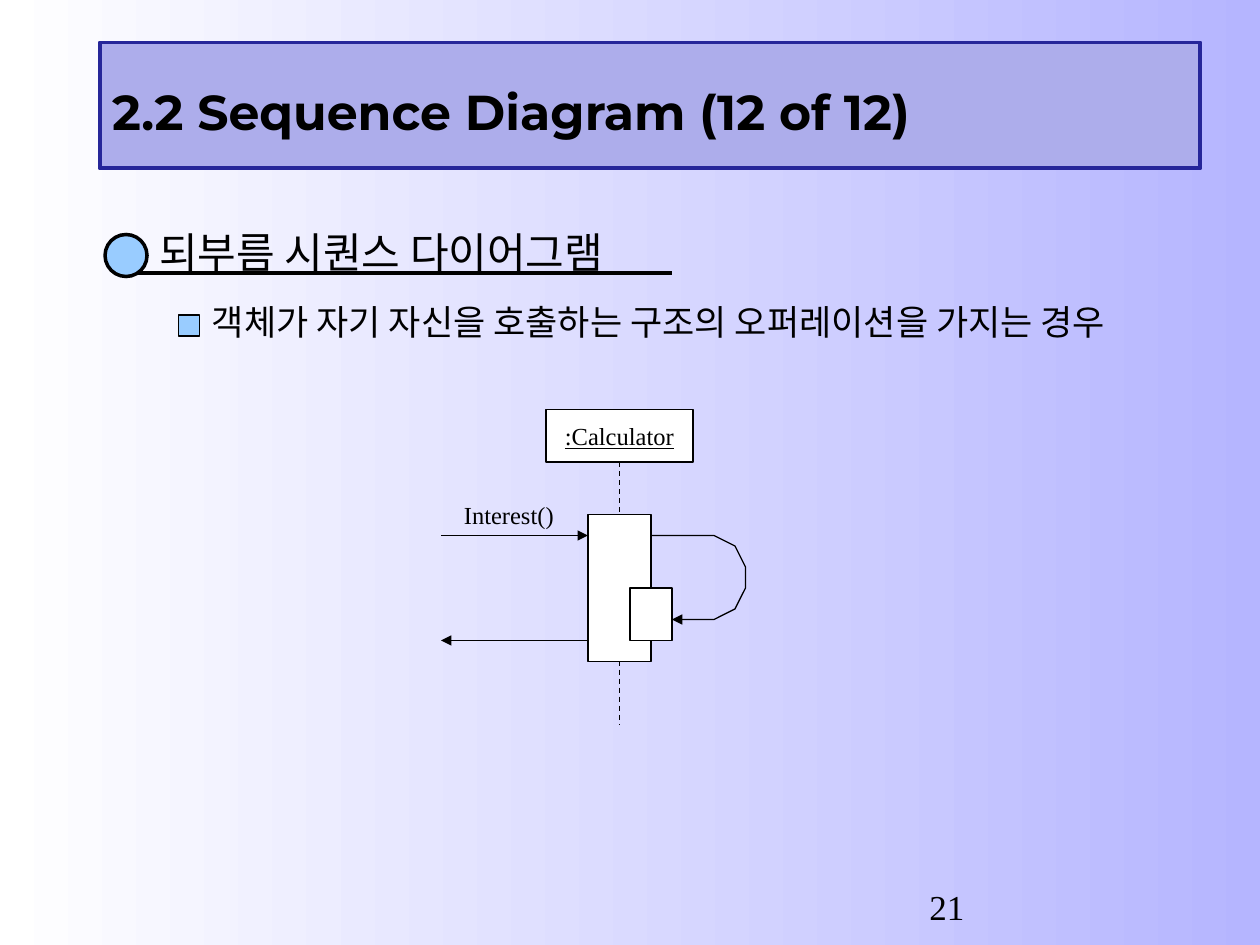
from lxml import etree
from pptx import Presentation
from pptx.dml.color import RGBColor
from pptx.enum.dml import MSO_LINE
from pptx.enum.shapes import MSO_CONNECTOR, MSO_SHAPE
from pptx.enum.text import MSO_ANCHOR, PP_ALIGN
from pptx.oxml.ns import qn
from pptx.util import Pt

RECT, OVAL = MSO_SHAPE.RECTANGLE, MSO_SHAPE.OVAL
LINE, DASH = MSO_CONNECTOR.STRAIGHT, MSO_LINE.DASH
LEFT, CENTER = PP_ALIGN.LEFT, PP_ALIGN.CENTER
MIDDLE = MSO_ANCHOR.MIDDLE
SERIF, SANS, HEAD = "Times New Roman", "Karla", "Montserrat"
COLORS = {
    "black": "000000", "white": "FFFFFF", "lilac": "B5B5FF",
    "sky": "99CCFF", "band": "ADADEB", "navy": "262699",
}
HEX = {name: RGBColor.from_string(code) for name, code in COLORS.items()}


def style(item, width, fill=None, color="black", arrow=False):
    item.line.color.rgb = HEX[color]
    item.line.width = Pt(width)
    if fill:
        item.fill.solid()
        item.fill.fore_color.rgb = HEX[fill]
    if arrow:
        etree.SubElement(item.line._get_or_add_ln(), qn("a:tailEnd"), type="triangle")


def write(item, text, size, face, align=LEFT, before=None):
    para = item.text_frame.paragraphs[0]
    para.text = text
    para.alignment = align
    if before:
        para.space_before = Pt(before)
    para.font.size = Pt(size)
    para.font.name = face
    para.font.color.rgb = HEX["black"]
    return para


deck = Presentation()
deck.slide_width, deck.slide_height = Pt(720), Pt(540)
slide = deck.slides.add_slide(deck.slide_layouts[6])
shapes = slide.shapes

back = slide.background.fill
back.gradient()
back.gradient_angle = 0
for stop, name in zip(back.gradient_stops, ("white", "lilac")):
    stop.color.rgb = HEX[name]

lines = {}
for name, x1, y1, x2, y2, width, arrow in (
    ("life", 354, 264, 354, 414, 0.75, False),
    ("call", 252, 306, 336, 306, 0.75, True),
    ("reply", 336, 366, 252, 366, 0.75, True),
    ("rule", 78, 156, 384, 156, 2, False),
):
    line = shapes.add_connector(LINE, Pt(x1), Pt(y1), Pt(x2), Pt(y2))
    style(line, width, arrow=arrow)
    etree.SubElement(line._element.spPr, qn("a:effectLst"))
    lines[name] = line
lines["life"].line.dash_style = DASH

boxes = {}
for name, kind, x, y, w, h, fill, color, width in (
    ("object", RECT, 312, 234, 84, 30, "white", "black", 0.75),
    ("active", RECT, 336, 294, 36, 84, "white", "black", 0.75),
    ("nested", RECT, 360, 336, 24, 30, "white", "black", 0.75),
    ("dot", OVAL, 60, 134, 24, 24, "sky", "black", 2),
    ("square", RECT, 102, 180, 12, 12, "sky", "black", 0.75),
    ("title", RECT, 57, 24.3, 629, 72, "band", "navy", 2.25),
):
    box = shapes.add_shape(kind, Pt(x), Pt(y), Pt(w), Pt(h))
    box.shadow.inherit = False
    style(box, width, fill, color)
    box.text_frame.vertical_anchor = MIDDLE
    boxes[name] = box

label = write(boxes["object"], ":Calculator", 14, SERIF, CENTER)
label.font.underline = True
boxes["object"].text_frame.word_wrap = False
title = write(boxes["title"], "2.2 Sequence Diagram (12 of 12)", 28, HEAD)
title.font.bold = True
title.line_spacing = 1.2

path = shapes.build_freeform(372, 306, scale=Pt(1))
path.add_line_segments(
    [(408, 306), (420, 312), (426, 324), (426, 336), (420, 348), (408, 354), (384, 354)],
    close=False,
)
loop = path.convert_to_shape()
loop.shadow.inherit = False
loop.fill.background()
style(loop, 0.75, arrow=True)

for text, x, y, w, h, size, face, before in (
    ("되부름 시퀀스 다이어그램", 84, 126, 405, 36, 24, SANS, 15),
    ("객체가 자기 자신을 호출하는 구조의 오퍼레이션을 가지는 경우", 114, 168, 588, 32, 20, SANS, 12.5),
    ("Interest()", 258, 282, 72, 24.5, 14, SERIF, 8.8),
    ("21", 524, 502.5, 96, 26, 20, SERIF, None),
):
    box = shapes.add_textbox(Pt(x), Pt(y), Pt(w), Pt(h))
    box.text_frame.word_wrap = True
    write(box, text, size, face, before=before)

deck.save("out.pptx")
